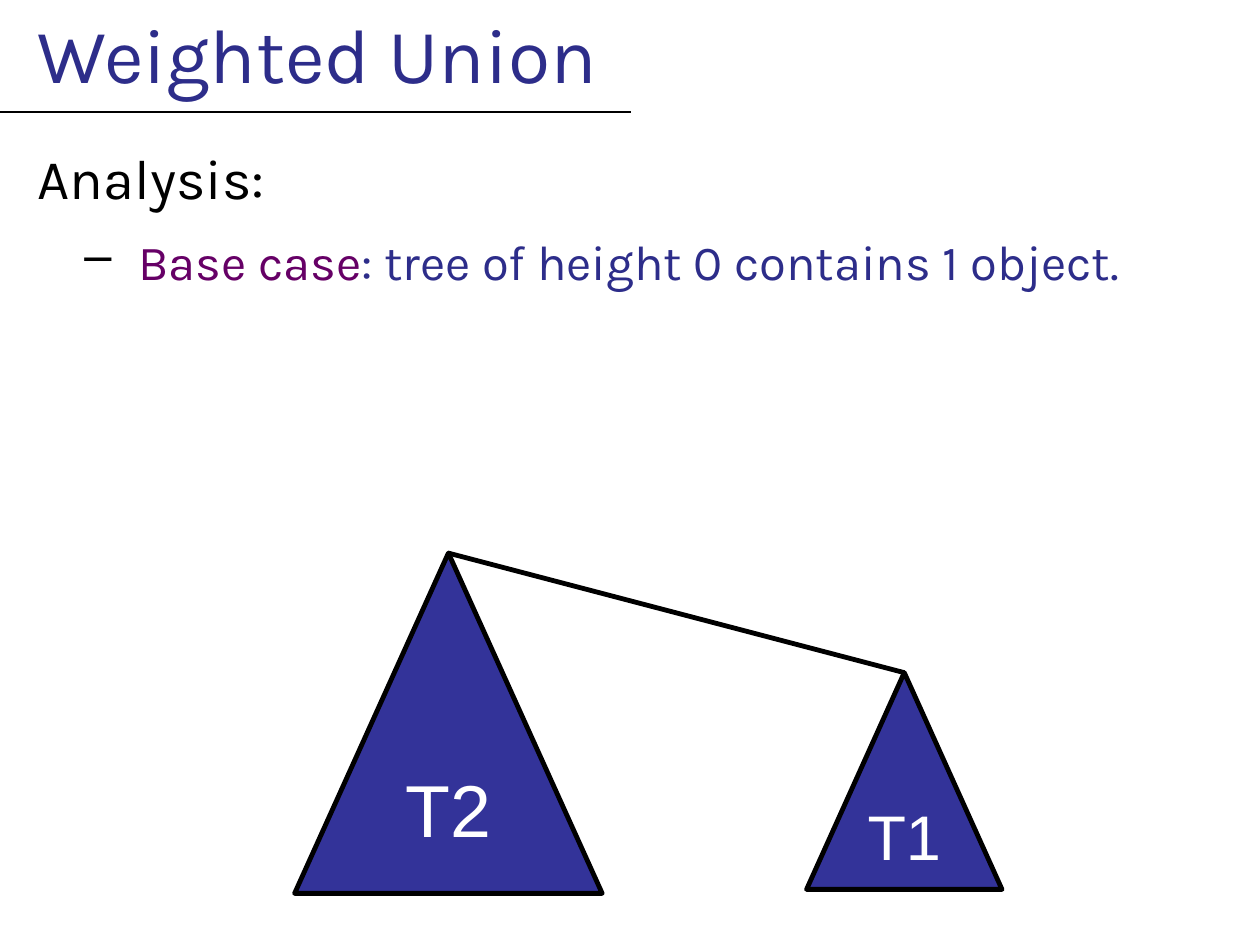
"""Build the Weighted Union slide with two linked trees."""
from lxml import etree
from pptx import Presentation
from pptx import util as u
from pptx.dml.color import RGBColor
from pptx.enum import shapes, text
from pptx.oxml import ns

BLACK = RGBColor(0x00, 0x00, 0x00)
WHITE = RGBColor(0xFF, 0xFF, 0xFF)
NAVY = RGBColor(0x2D, 0x2D, 0x8A)
PURPLE = RGBColor(0x66, 0x00, 0x66)
TREE_BLUE = RGBColor(0x33, 0x33, 0x99)


def style_paragraph(paragraph, size, color, left, first, bullet=None):
    properties = paragraph._p.get_or_add_pPr()
    properties.set("marL", str(u.Cm(left)))
    properties.set("indent", str(u.Cm(first)))
    if bullet:
        bullet_color = etree.SubElement(properties, ns.qn("a:buClr"))
        etree.SubElement(bullet_color, ns.qn("a:srgbClr"), val=str(BLACK))
        etree.SubElement(properties, ns.qn("a:buChar"), char=bullet)
    paragraph.font.name = "Karla"
    paragraph.font.size = u.Pt(size)
    if color is not None:
        paragraph.font.color.rgb = color


def add_line(start, end, width):
    line = slide.shapes.add_connector(
        shapes.MSO_CONNECTOR.STRAIGHT, *[u.Cm(value) for value in start + end])
    line.line.color.rgb = BLACK
    line.line.width = u.Pt(width)
    etree.SubElement(line._element.spPr, ns.qn("a:effectLst"))
    return line


presentation = Presentation()
presentation.slide_width = u.Cm(25.4)
presentation.slide_height = u.Cm(19.05)
slide = presentation.slides.add_slide(presentation.slide_layouts[6])

add_line((0, 2.26), (12.73, 2.26), 1.5)

body = slide.shapes.add_textbox(0, u.Cm(2.77), u.Cm(25.4), u.Cm(16.28)).text_frame
body.word_wrap = True
heading = body.paragraphs[0]
heading.text = "Analysis:"
style_paragraph(heading, 32, BLACK, 1.27, -0.76)

base_case = body.add_paragraph()
base_case.level = 1
base_case.space_before = u.Pt(12)
style_paragraph(base_case, 28, None, 2.54, -1.09, "–")
for words, color in (("Base case", PURPLE),
                     (": tree of height 0 contains 1 object.", NAVY)):
    run = base_case.add_run()
    run.text = words
    run.font.color.rgb = color

title = slide.shapes.add_textbox(0, 0, u.Cm(25.4), u.Cm(2.54)).text_frame
title.word_wrap = True
title.paragraphs[0].text = "Weighted Union"
style_paragraph(title.paragraphs[0], 44, NAVY, 0.51, 0)

trees = []
for label, left, top, width, height, size, wrap in (
        ("T2", 5.94, 11.15, 6.2, 6.86, 42, True),
        ("T1", 16.26, 13.56, 3.94, 4.37, 36, False)):
    tree = slide.shapes.add_shape(
        shapes.MSO_SHAPE.ISOSCELES_TRIANGLE,
        u.Cm(left), u.Cm(top), u.Cm(width), u.Cm(height))
    tree.shadow.inherit = False
    tree.fill.solid()
    tree.fill.fore_color.rgb = TREE_BLUE
    tree.line.color.rgb = BLACK
    tree.line.width = u.Pt(2.75)
    etree.SubElement(tree.line._get_or_add_ln(), ns.qn("a:round"))
    tree.text_frame.word_wrap = wrap
    tree.text_frame.vertical_anchor = text.MSO_ANCHOR.MIDDLE
    paragraph = tree.text_frame.paragraphs[0]
    paragraph.text = label
    paragraph.alignment = text.PP_ALIGN.CENTER
    paragraph.font.name = "Arial"
    paragraph.font.size = u.Pt(size)
    paragraph.font.color.rgb = WHITE
    trees.append(tree)

link = add_line((9.04, 11.15), (18.23, 13.56), 2.75)
link.begin_connect(trees[0], 0)
link.end_connect(trees[1], 0)

presentation.save("out.pptx")
